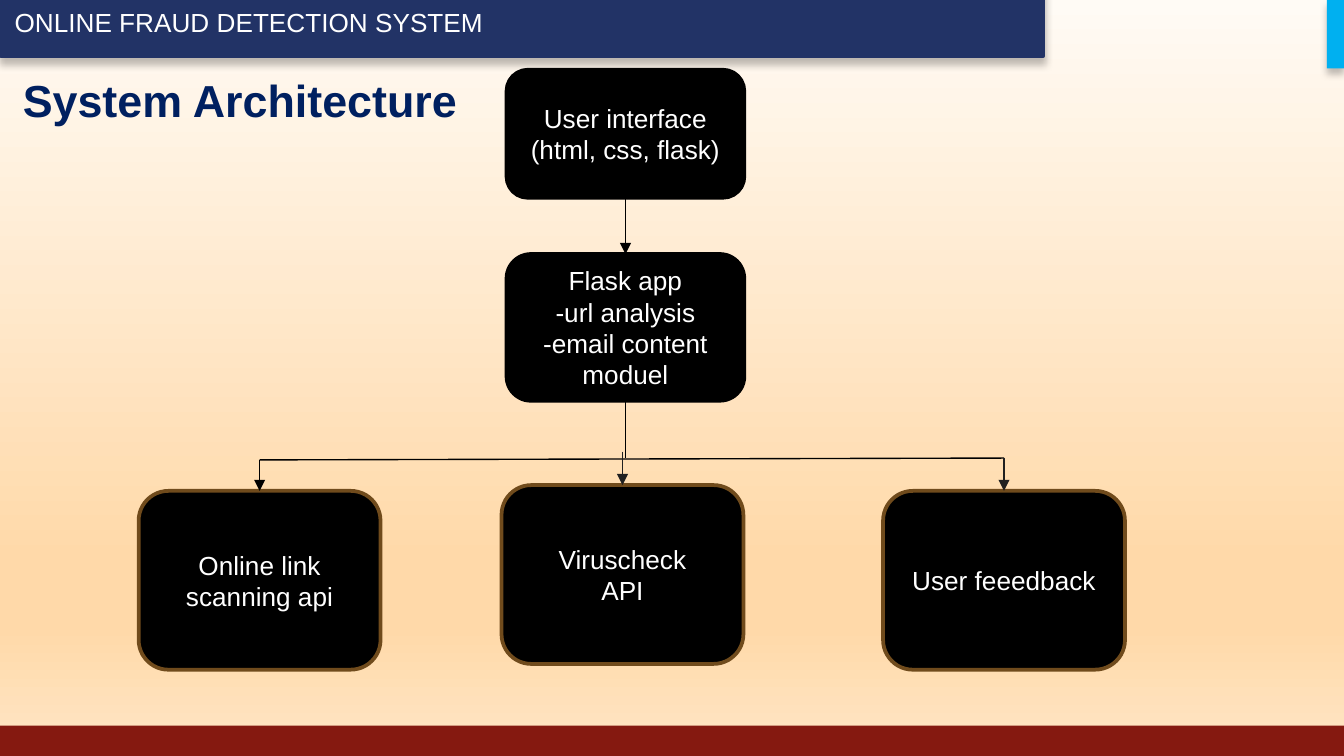
from dataclasses import dataclass

from lxml.etree import SubElement
from pptx import Presentation
from pptx.dml.color import RGBColor
from pptx.enum.shapes import MSO_CONNECTOR, MSO_SHAPE
from pptx.enum.text import MSO_ANCHOR, PP_ALIGN
from pptx.oxml.ns import qn
from pptx.shapes.autoshape import Shape
from pptx.shapes.connector import Connector
from pptx.slide import Slide
from pptx.util import Pt

FONT = "Arial"
BLACK = RGBColor(0x00, 0x00, 0x00)
WHITE = RGBColor(0xFF, 0xFF, 0xFF)
CHARCOAL = RGBColor(0x20, 0x20, 0x20)
BROWN = RGBColor(0x70, 0x4B, 0x1C)
BANNER_BLUE = RGBColor(0x22, 0x33, 0x66)
TITLE_BLUE = RGBColor(0x00, 0x20, 0x60)
ACCENT_BLUE = RGBColor(0x00, 0xB0, 0xF0)
FOOTER_RED = RGBColor(0x85, 0x19, 0x10)
BACKGROUND_STOPS = (
    (0, RGBColor(0xFF, 0xFB, 0xF5)),
    (74, RGBColor(0xFF, 0xD9, 0xA9)),
    (83, RGBColor(0xFF, 0xD9, 0xA9)),
    (100, RGBColor(0xFF, 0xE6, 0xC6)),
)

TOP, BOTTOM = 0, 2
SLIDE_WIDTH, SLIDE_HEIGHT = 720, 405
BUS_LEFT_Y, BUS_RIGHT_Y, BUS_MIDDLE_Y = 246.4, 245.4, 242


@dataclass(frozen=True)
class Frame:
    left: float
    top: float
    width: float
    height: float

    @property
    def center(self) -> float:
        return self.left + self.width / 2

    @property
    def bottom(self) -> float:
        return self.top + self.height


@dataclass(frozen=True)
class Node:
    frame: Frame
    lines: tuple[str, ...]
    outline: RGBColor = BLACK


@dataclass(frozen=True)
class Branch:
    node: Node
    start_y: float
    color: RGBColor


INTERFACE = Node(Frame(271.4, 37.4, 127.4, 68.6), ("User interface", "(html, css, flask)"))
APPLICATION = Node(
    Frame(271.4, 136.1, 127.4, 78.6),
    ("Flask app", "-url analysis", "-email content moduel"),
)
BRANCHES = (
    Branch(Node(Frame(74.3, 263, 129.6, 95.8), ("Online link scanning api",), BROWN), BUS_LEFT_Y, BLACK),
    Branch(Node(Frame(268.7, 259.9, 129.6, 95.8), ("Viruscheck", "API"), BROWN), BUS_MIDDLE_Y, CHARCOAL),
    Branch(Node(Frame(473.1, 263, 129.6, 95.8), ("User feeedback",), BROWN), BUS_RIGHT_Y, CHARCOAL),
)


def paint_background(slide: Slide) -> None:
    fill = slide.background.fill
    fill.gradient()
    fill.gradient_angle = 270
    stop_list = next(slide.element.iter(qn("a:gsLst")))
    for stop in list(stop_list):
        stop_list.remove(stop)
    for position, color in BACKGROUND_STOPS:
        stop = SubElement(stop_list, qn("a:gs"), pos=str(position * 1000))
        SubElement(stop, qn("a:srgbClr"), val=str(color))


def draw_shape(slide: Slide, kind: MSO_SHAPE, frame: Frame, color: RGBColor,
               outline: RGBColor | None = None) -> Shape:
    box = slide.shapes.add_shape(
        kind, Pt(frame.left), Pt(frame.top), Pt(frame.width), Pt(frame.height)
    )
    box.shadow.inherit = False
    box.fill.solid()
    box.fill.fore_color.rgb = color
    if outline is None:
        box.line.fill.background()
    else:
        box.line.color.rgb = outline
        box.line.width = Pt(2)
    return box


def cast_shadow(box: Shape) -> None:
    effects = box.element.spPr.find(qn("a:effectLst"))
    shadow = SubElement(
        effects, qn("a:outerShdw"), blurRad=str(Pt(4)), dist=str(Pt(3)),
        dir="5400000", algn="t", rotWithShape="0",
    )
    color = SubElement(shadow, qn("a:srgbClr"), val=str(BLACK))
    SubElement(color, qn("a:alpha"), val="25000")


def write_lines(box: Shape, lines: tuple[str, ...], size: float, color: RGBColor,
                alignment: PP_ALIGN, bold: bool = False) -> None:
    text_frame = box.text_frame
    text_frame.word_wrap = True
    text_frame.vertical_anchor = MSO_ANCHOR.MIDDLE
    text_frame.text = "\n".join(lines)
    for para in text_frame.paragraphs:
        para.alignment = alignment
        para.font.name = FONT
        para.font.size = Pt(size)
        para.font.bold = bold
        para.font.color.rgb = color


def draw_node(slide: Slide, node: Node) -> Shape:
    box = draw_shape(slide, MSO_SHAPE.ROUNDED_RECTANGLE, node.frame, BLACK, node.outline)
    write_lines(box, node.lines, 14, WHITE, PP_ALIGN.CENTER)
    return box


def draw_line(slide: Slide, start: tuple[float, float], end: tuple[float, float],
              color: RGBColor = BLACK, arrow: bool = False) -> Connector:
    line = slide.shapes.add_connector(
        MSO_CONNECTOR.STRAIGHT, Pt(start[0]), Pt(start[1]), Pt(end[0]), Pt(end[1])
    )
    line.line.color.rgb = color
    line.line.width = Pt(0.75)
    if arrow:
        SubElement(line.line._get_or_add_ln(), qn("a:tailEnd"), type="triangle")
    SubElement(line.element.spPr, qn("a:effectLst"))
    return line


def draw_page_frame(slide: Slide) -> None:
    banner = draw_shape(slide, MSO_SHAPE.RECTANGLE, Frame(0.7, -6.5, 558, 36.7), BANNER_BLUE, BANNER_BLUE)
    write_lines(banner, ("ONLINE FRAUD DETECTION SYSTEM",), 14, WHITE, PP_ALIGN.LEFT)
    draw_shape(slide, MSO_SHAPE.RECTANGLE, Frame(0, 388.7, SLIDE_WIDTH, 16.3), FOOTER_RED)
    accent = draw_shape(slide, MSO_SHAPE.RECTANGLE, Frame(710.8, 0, 9.2, 36.7), ACCENT_BLUE)
    cast_shadow(banner)
    cast_shadow(accent)


def draw_title(slide: Slide) -> None:
    title = slide.shapes.title
    title.left, title.top, title.width, title.height = Pt(5), Pt(35.3), Pt(273), Pt(36)
    write_lines(title, ("System Architecture",), 24, TITLE_BLUE, PP_ALIGN.LEFT, bold=True)


def draw_architecture(slide: Slide) -> None:
    interface = draw_node(slide, INTERFACE)
    application = draw_node(slide, APPLICATION)
    services = [draw_node(slide, branch.node) for branch in BRANCHES]

    upper, lower = INTERFACE.frame, APPLICATION.frame
    request = draw_line(slide, (upper.center, upper.bottom), (lower.center, lower.top), arrow=True)
    request.begin_connect(interface, BOTTOM)
    request.end_connect(application, TOP)

    trunk = draw_line(slide, (lower.center, lower.bottom), (lower.center, BUS_RIGHT_Y))
    trunk.begin_connect(application, BOTTOM)

    first, last = BRANCHES[0].node.frame, BRANCHES[-1].node.frame
    draw_line(slide, (first.center, BUS_LEFT_Y), (last.center, BUS_RIGHT_Y))
    for branch, service in zip(BRANCHES, services):
        frame = branch.node.frame
        drop = draw_line(
            slide, (frame.center, branch.start_y), (frame.center, frame.top), branch.color, arrow=True
        )
        drop.end_connect(service, TOP)


def main() -> None:
    deck = Presentation()
    deck.slide_width, deck.slide_height = Pt(SLIDE_WIDTH), Pt(SLIDE_HEIGHT)
    page = deck.slides.add_slide(deck.slide_layouts[5])
    paint_background(page)
    draw_page_frame(page)
    draw_title(page)
    draw_architecture(page)
    deck.save("out.pptx")


if __name__ == "__main__":
    main()
